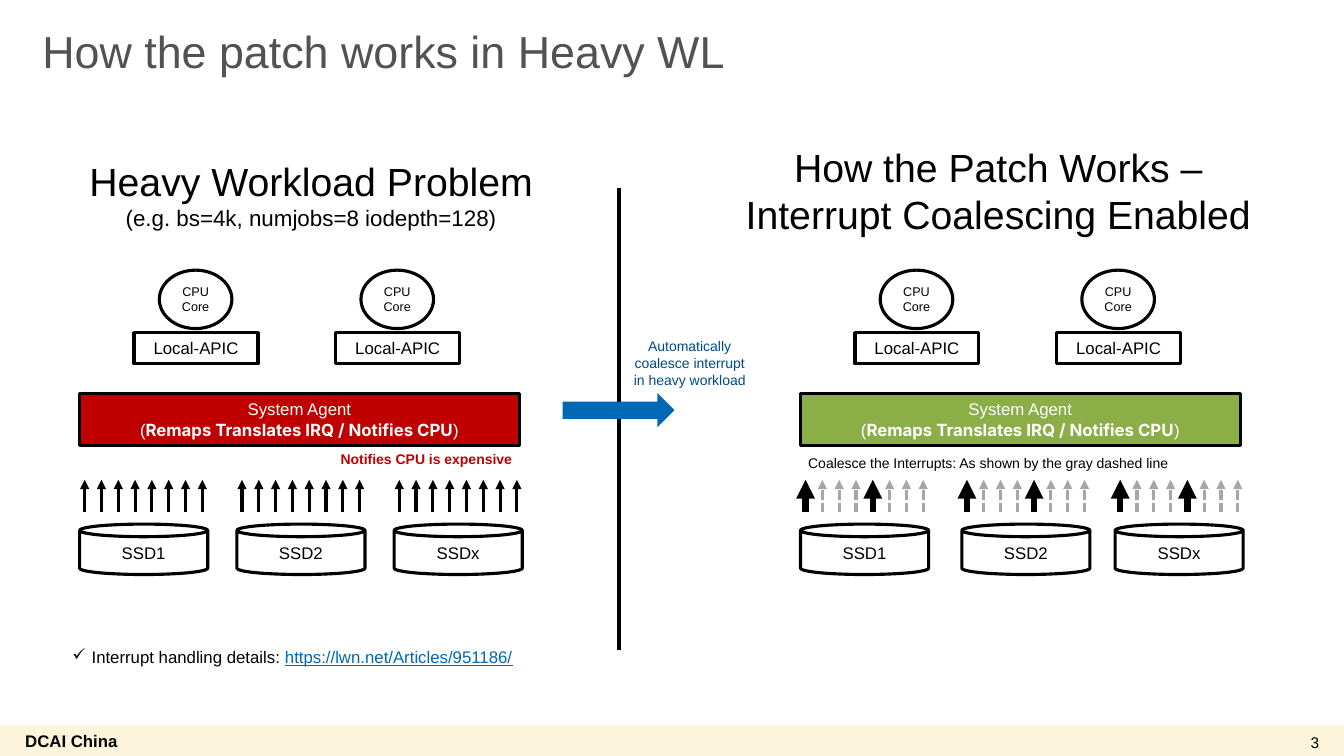
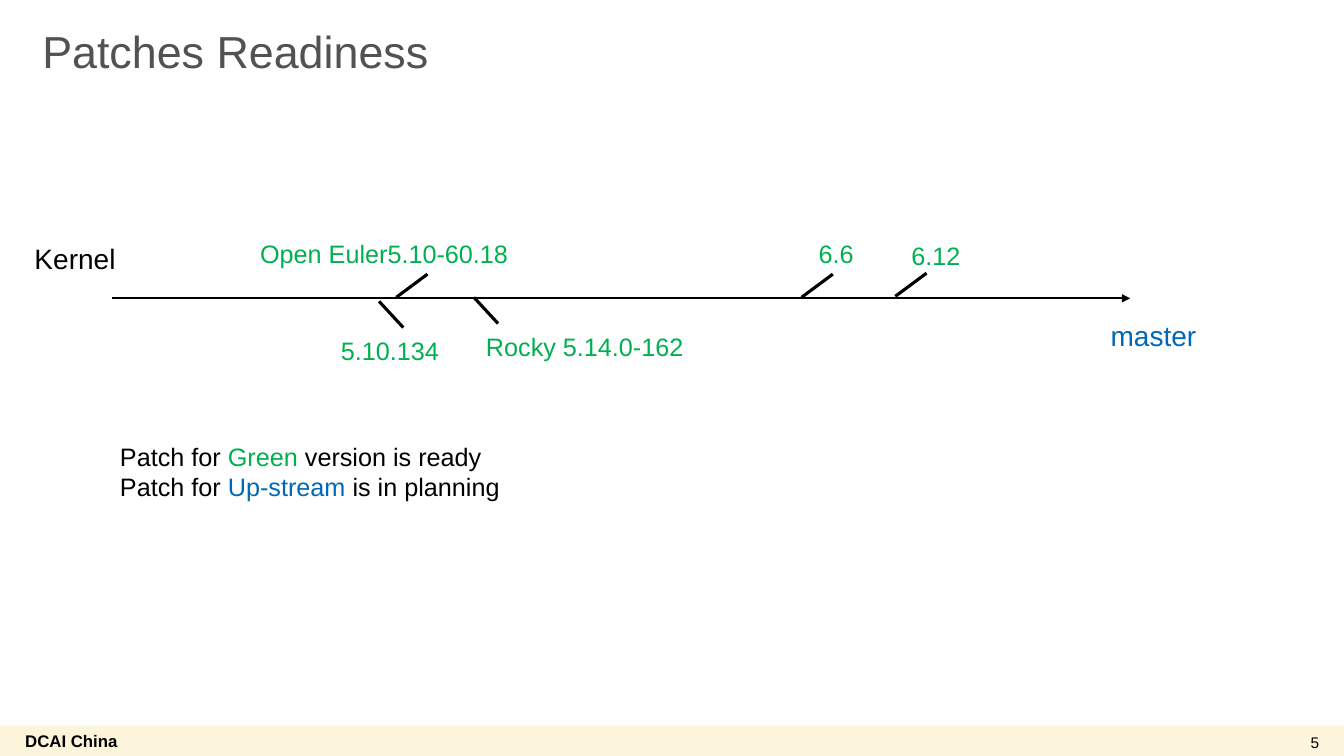
import dataclasses

import pptx
import pptx.dml.color
import pptx.enum.dml
import pptx.enum.shapes
import pptx.enum.text
import pptx.oxml
import pptx.oxml.ns
import pptx.util

SHAPES = pptx.enum.shapes.MSO_SHAPE
DASHES = pptx.enum.dml.MSO_LINE
LEFT = pptx.enum.text.PP_ALIGN.LEFT
CENTER = pptx.enum.text.PP_ALIGN.CENTER
TOP = pptx.enum.text.MSO_ANCHOR.TOP
MIDDLE = pptx.enum.text.MSO_ANCHOR.MIDDLE


@dataclasses.dataclass(frozen=True)
class Theme:
    width: float = 13.33
    height: float = 7.5
    font: str = "Arial"
    emphasis_font: str = "Inter"
    black: str = "000000"
    white: str = "FFFFFF"
    title_gray: str = "525252"
    band: str = "FDF5DB"
    red: str = "C00000"
    olive: str = "8BAE46"
    gray: str = "A6A6A6"
    blue: str = "0068B5"
    navy: str = "004A86"
    green: str = "00B050"
    title: float = 32
    heading: float = 28
    large: float = 20
    body: float = 18
    subheading: float = 16
    label: float = 12
    page: float = 11
    note: float = 10
    core: float = 9
    thin: float = 1.5
    outline: float = 2.25
    heavy: float = 4.5
    inset: float = 0.06
    box_insets: tuple = (0.1, 0.05)


THEME = Theme()
FOOTER = "DCAI China"

# A paragraph is a list of runs; a run is a text and its departures from the box style.
AGENT_TEXT = [
    [("System Agent", {})],
    [("(", {}),
     ("Remaps Translates IRQ / Notifies CPU", {"font": THEME.emphasis_font, "bold": True}),
     (")", {})],
]
DRIVES = ["SSD1", "SSD2", "SSDx"]
PANELS = [
    {"left": 0.79, "agent": THEME.red, "drive_offsets": [0, 1.56, 3.12], "coalesced": False},
    {"left": 7.94, "agent": THEME.olive, "drive_offsets": [0, 1.6, 3.12], "coalesced": True},
]
WORKLOAD = {
    "title": "How the patch works in Heavy WL",
    "page": "3",
    "boxes": [
        ((0.71, 1.51, 4.75, 0.84),
         [[("Heavy Workload Problem", {})],
          [("(e.g. bs=4k, numjobs=8 iodepth=128)", {"size": THEME.subheading})]],
         {"size": THEME.heading, "align": CENTER}),
        ((7.14, 1.37, 5.52, 1.04),
         [[("How the Patch Works – Interrupt Coalescing Enabled", {})]],
         {"size": THEME.heading, "align": CENTER}),
        ((7.87, 4.46, 3.86, 0.27),
         [[("Coalesce the Interrupts: As shown by the gray dashed line", {})]],
         {"size": THEME.note, "align": CENTER, "wrap": False}),
        ((3.28, 4.42, 1.96, 0.27),
         [[("Notifies CPU is expensive", {"bold": True})]],
         {"size": THEME.note, "color": THEME.red}),
        ((6.13, 3.3, 1.42, 0.61),
         [[("Automatically", {})], [("coalesce interrupt in heavy workload", {})]],
         {"size": THEME.note, "color": THEME.navy, "align": CENTER}),
        ((0.62, 6.37, 5.11, 0.3),
         [[("Interrupt handling details: ", {}),
           ("https://lwn.net/Articles/951186/", {"color": THEME.blue, "underline": True})]],
         {"size": THEME.label, "bullet": "✓"}),
    ],
}
READINESS = {
    "title": "Patches Readiness",
    "page": "5",
    "boxes": [
        ((0.23, 2.35, 1.03, 0.44), [[("Kernel", {})]],
         {"size": THEME.large, "align": CENTER, "wrap": False}),
        ((10.9, 3.11, 1.08, 0.44), [[("master", {})]],
         {"size": THEME.large, "color": THEME.blue, "align": CENTER, "wrap": False}),
        ((1.19, 4.38, 3.89, 0.61),
         [[("Patch for ", {}), ("Green", {"color": THEME.green}), (" version is ready", {})],
          [("Patch for ", {}), ("Up-stream", {"color": THEME.blue}), (" is in planning", {})]],
         {"size": THEME.body, "insets": (0, 0), "wrap": False}),
    ],
}
# Version, label left, label top, label width, tick start, tick rise (negative is up)
VERSIONS = [
    ("Open Euler5.10-60.18", 2.58, 2.36, 3.02, (3.93, 2.95), -0.23),
    ("5.10.134", 3.38, 3.33, 1.01, (3.76, 2.99), 0.26),
    ("Rocky 5.14.0-162", 4.82, 3.29, 2.01, (4.7, 2.95), 0.26),
    ("6.6", 8.12, 2.36, 0.36, (7.95, 2.95), -0.23),
    ("6.12", 9.04, 2.38, 0.51, (8.88, 2.94), -0.23),
]


def rgb(color):
    return pptx.dml.color.RGBColor.from_string(color)


def inches(values):
    return [pptx.util.Inches(value) for value in values]


def add_bullet(paragraph, character, indent=0.19):
    properties = paragraph._p.get_or_add_pPr()
    offset = pptx.util.Inches(indent)
    properties.set("marL", str(offset))
    properties.set("indent", str(-offset))
    bullet = properties.makeelement(pptx.oxml.ns.qn("a:buChar"), {"char": character})
    properties.append(bullet)


def write_text(shape, paragraphs, size, color=THEME.black, align=LEFT, anchor=TOP,
               insets=THEME.box_insets, wrap=True, bullet=None, line_spacing=None):
    frame = shape.text_frame
    frame.word_wrap = wrap
    frame.vertical_anchor = anchor
    horizontal, vertical = inches(insets)
    frame.margin_left = frame.margin_right = horizontal
    frame.margin_top = frame.margin_bottom = vertical
    for index, runs in enumerate(paragraphs):
        paragraph = frame.add_paragraph() if index else frame.paragraphs[0]
        paragraph.alignment = align
        if line_spacing:
            paragraph.line_spacing = line_spacing
        if bullet:
            add_bullet(paragraph, bullet)
        for text, style in runs:
            run = paragraph.add_run()
            run.text = text
            run.font.name = style.get("font", THEME.font)
            run.font.size = pptx.util.Pt(style.get("size", size))
            run.font.color.rgb = rgb(style.get("color", color))
            run.font.bold = style.get("bold", False)
            run.font.underline = style.get("underline", False)


def add_text(slide, place, paragraphs, **style):
    write_text(slide.shapes.add_textbox(*inches(place)), paragraphs, **style)


def add_shape(slide, kind, place, fill=THEME.white, outlined=True):
    shape = slide.shapes.add_shape(kind, *inches(place))
    shape.shadow.inherit = False
    shape.fill.solid()
    shape.fill.fore_color.rgb = rgb(fill)
    if outlined:
        shape.line.color.rgb = rgb(THEME.black)
        shape.line.width = pptx.util.Pt(THEME.outline)
    else:
        shape.line.fill.background()
    return shape


def add_labelled_shape(slide, kind, place, paragraphs, size=THEME.label,
                       fill=THEME.white, color=THEME.black):
    shape = add_shape(slide, kind, place, fill)
    write_text(shape, paragraphs, size, color, align=CENTER, anchor=MIDDLE,
               insets=(THEME.inset, THEME.inset))


def add_line(slide, start, end, width=THEME.outline, color=THEME.black,
             dashed=False, arrow=False):
    connector = slide.shapes.add_connector(
        pptx.enum.shapes.MSO_CONNECTOR.STRAIGHT, *inches(start + end))
    line = connector.line
    line.color.rgb = rgb(color)
    line.width = pptx.util.Pt(width)
    if dashed:
        line.dash_style = DASHES.SQUARE_DOT
    if arrow:
        outline = line._get_or_add_ln()
        outline.append(outline.makeelement(pptx.oxml.ns.qn("a:tailEnd"), {"type": "triangle"}))
    properties = connector._element.spPr
    properties.append(properties.makeelement(pptx.oxml.ns.qn("a:effectLst"), {}))


def start_slide(presentation, content):
    """Add a blank slide with the shared title, footer band and page number, then its boxes."""
    slide = presentation.slides.add_slide(presentation.slide_layouts[6])
    band = add_shape(slide, SHAPES.RECTANGLE, (0, 7.2, THEME.width, 0.3), THEME.band, False)
    write_text(band, [[(FOOTER, {"bold": True})]], THEME.label, anchor=MIDDLE,
               insets=(0.25, THEME.inset))
    add_text(slide, (13, 7.27, 0.19, 0.19), [[(content["page"], {})]],
             size=THEME.page, insets=(0, 0), wrap=False)
    add_text(slide, (0.42, 0.3, 12, 0.7), [[(content["title"], {})]], size=THEME.title,
             color=THEME.title_gray, insets=(0, 0), line_spacing=0.9)
    for place, paragraphs, style in content["boxes"]:
        add_text(slide, place, paragraphs, **style)
    return slide


def add_interrupts(slide, drive_left, coalesced, count=8, kept_every=4):
    """Draw the interrupts above a drive; when coalesced, only every fourth one stays solid."""
    for index in range(count):
        x = drive_left + 0.05 + index / 6
        if not coalesced:
            style = {}
        elif index % kept_every == 0:
            style = {"width": THEME.heavy}
        else:
            style = {"color": THEME.gray, "dashed": True}
        add_line(slide, (x, 5.08), (x, 4.76), arrow=True, **style)


def add_panel(slide, panel):
    left = panel["left"]
    add_labelled_shape(slide, SHAPES.RECTANGLE, (left, 3.9, 4.36, 0.52), AGENT_TEXT,
                       fill=panel["agent"], color=THEME.white)
    for core in range(2):
        core_left = left + 0.54 + 2 * core
        add_labelled_shape(slide, SHAPES.FLOWCHART_CONNECTOR, (core_left + 0.25, 2.68, 0.72, 0.58),
                           [[("CPU Core", {})]], THEME.core)
        add_labelled_shape(slide, SHAPES.RECTANGLE, (core_left, 3.3, 1.23, 0.31),
                           [[("Local-APIC", {})]])
    for name, offset in zip(DRIVES, panel["drive_offsets"]):
        add_labelled_shape(slide, SHAPES.CAN, (left + offset, 5.2, 1.27, 0.5), [[(name, {})]])
        add_interrupts(slide, left + offset, panel["coalesced"])


def build_workload(presentation):
    slide = start_slide(presentation, WORKLOAD)
    for panel in PANELS:
        add_panel(slide, panel)
    add_line(slide, (6.14, 1.87), (6.14, 6.45))
    add_shape(slide, SHAPES.RIGHT_ARROW, (5.58, 3.9, 1.11, 0.34), THEME.blue, False)


def build_readiness(presentation):
    slide = start_slide(presentation, READINESS)
    add_line(slide, (1.11, 2.96), (11.21, 2.96), THEME.thin, arrow=True)
    for version, left, top, width, (x, y), rise in VERSIONS:
        run = 0.31 if rise < 0 else 0.24
        add_line(slide, (x, y), (x + run, y + rise))
        add_text(slide, (left, top, width, 0.3), [[(version, {})]], size=THEME.body,
                 color=THEME.green, insets=(0, 0), wrap=False)


def main():
    presentation = pptx.Presentation()
    presentation.slide_width, presentation.slide_height = inches((THEME.width, THEME.height))
    build_workload(presentation)
    build_readiness(presentation)
    presentation.save("out.pptx")


if __name__ == "__main__":
    main()
